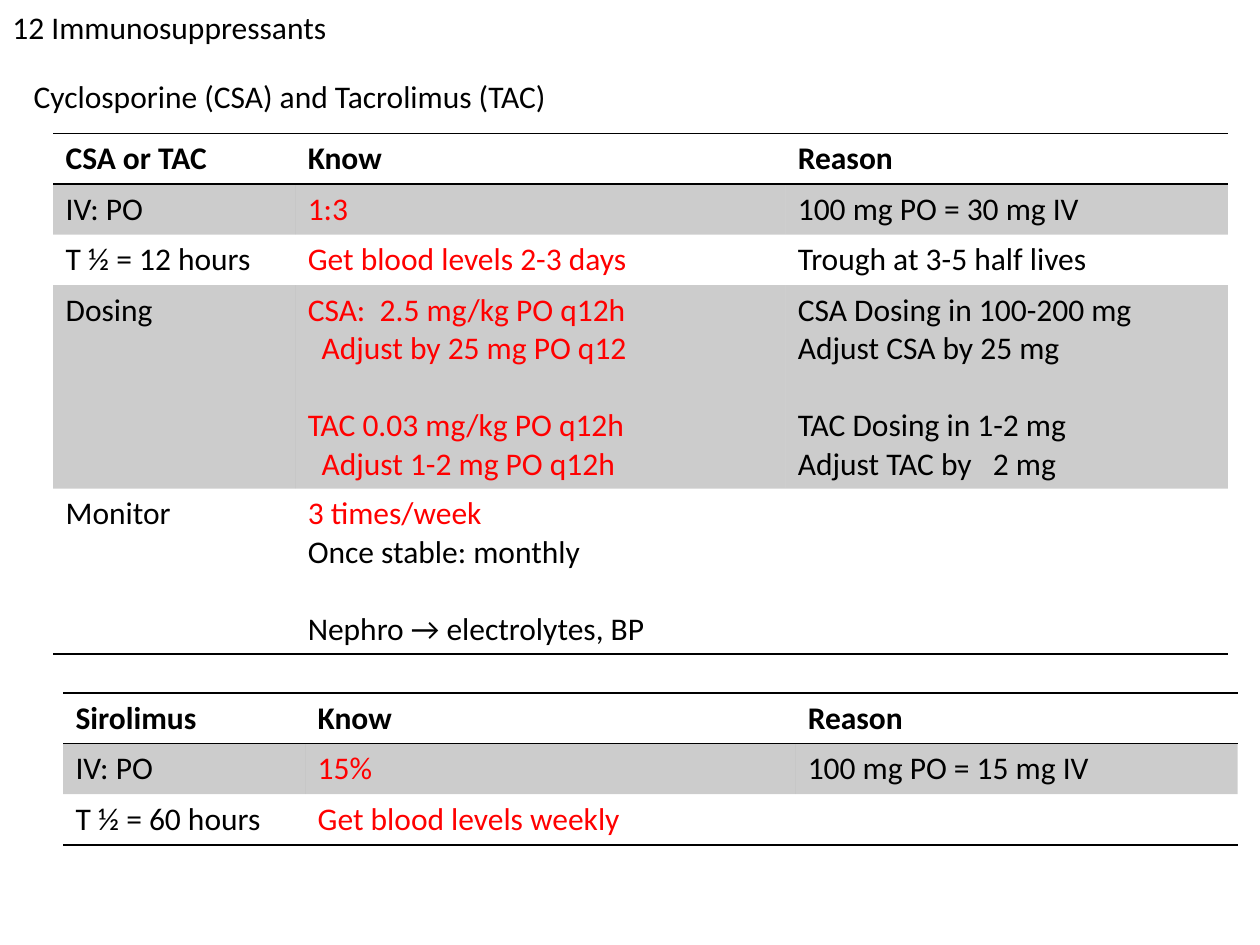
import dataclasses

import pptx
import pptx.dml.color
import pptx.enum.text
import pptx.oxml
import pptx.oxml.ns
import pptx.util
from pptx.util import Cm

FONT = "Calibri"
FONT_SIZE = pptx.util.Pt(18)
LINE_SPACE = pptx.util.Pt(22)
BLACK, RED = "000000", "FF0000"
PLAIN_TABLE_STYLE = "{2D5ABB26-0587-4C30-8999-92F81FD0307C}"
COLUMN_WIDTHS = (4.88, 9.88, 8.92)


@dataclasses.dataclass
class Line:
    """One paragraph of a cell; indent and tab are in centimetres."""
    text: str
    color: str = BLACK
    new_group: bool = False
    indent: float = 0
    tab: float = 0


def rgb(color):
    return pptx.dml.color.RGBColor.from_string(color)


def add_run(paragraph, text, color=BLACK, bold=False):
    run = paragraph.add_run()
    run.text = text
    run.font.name = FONT
    run.font.size = FONT_SIZE
    run.font.bold = bold
    run.font.color.rgb = rgb(color)


def add_label(slide, text, left, top, width, wrap):
    box = slide.shapes.add_textbox(Cm(left), Cm(top), Cm(width), Cm(1.02))
    box.text_frame.word_wrap = wrap
    box.text_frame.auto_size = pptx.enum.text.MSO_AUTO_SIZE.SHAPE_TO_FIT_TEXT
    add_run(box.text_frame.paragraphs[0], text)


def add_rule(cell, side):
    """Draw a thin black border on side T or B of the cell."""
    cell._tc.get_or_add_tcPr().append(pptx.oxml.parse_xml(
        f'<a:ln{side} {pptx.oxml.ns.nsdecls("a")} w="12700"><a:solidFill>'
        f'<a:srgbClr val="{BLACK}"/></a:solidFill></a:ln{side}>'))


def shade(cell):
    """Fill the cell with black at 20 % opacity."""
    cell.fill.solid()
    cell.fill.fore_color.rgb = rgb(BLACK)
    color = cell._tc.tcPr.find("a:solidFill/a:srgbClr", pptx.oxml.ns._nsmap)
    color.append(pptx.oxml.parse_xml(
        f'<a:alpha {pptx.oxml.ns.nsdecls("a")} val="20000"/>'))


def write_lines(cell, lines, bold):
    for number, line in enumerate(lines):
        frame = cell.text_frame
        paragraph = frame.add_paragraph() if number else frame.paragraphs[0]
        properties = paragraph._p.get_or_add_pPr()
        if line.indent:
            properties.set("marL", str(Cm(line.indent)))
        if line.tab:
            properties.append(pptx.oxml.parse_xml(
                f'<a:tabLst {pptx.oxml.ns.nsdecls("a")}>'
                f'<a:tab pos="{Cm(line.tab)}" algn="l"/></a:tabLst>'))
        if line.new_group:
            paragraph.space_before = LINE_SPACE
        add_run(paragraph, line.text, line.color, bold)


def add_drug_table(slide, left, top, rows):
    line_counts = [max(len(lines) + sum(line.new_group for line in lines)
                       for lines in row) for row in rows]
    heights = [0.25 + 0.77 * count for count in line_counts]
    frame = slide.shapes.add_table(
        len(rows), len(COLUMN_WIDTHS), Cm(left), Cm(top),
        Cm(sum(COLUMN_WIDTHS)), Cm(sum(heights)))
    table = frame.table
    table._tbl.tblPr.find(pptx.oxml.ns.qn("a:tableStyleId")).text = PLAIN_TABLE_STYLE
    for column, width in zip(table.columns, COLUMN_WIDTHS):
        column.width = Cm(width)
    for row_number, (row, height) in enumerate(zip(rows, heights)):
        table.rows[row_number].height = Cm(height)
        header = row_number == 0
        for column_number, lines in enumerate(row):
            cell = table.cell(row_number, column_number)
            if header:
                add_rule(cell, "T")
            if header or row_number == len(rows) - 1:
                add_rule(cell, "B")
            if row_number % 2:
                shade(cell)
            else:
                cell.fill.background()
            write_lines(cell, lines, header)


def header_row(drug):
    return [[Line(drug)], [Line("Know")], [Line("Reason")]]


CSA_TAC_ROWS = [
    header_row("CSA or TAC"),
    [[Line("IV: PO")], [Line("1:3", RED)], [Line("100 mg PO = 30 mg IV")]],
    [[Line("T ½ = 12 hours")], [Line("Get blood levels 2-3 days", RED)],
     [Line("Trough at 3-5 half lives")]],
    [[Line("Dosing")],
     [Line("CSA:\t2.5 mg/kg PO q12h", RED, tab=1.45),
      Line("Adjust by 25 mg PO q12", RED, indent=0.28),
      Line("TAC 0.03 mg/kg PO q12h", RED, new_group=True),
      Line("Adjust 1-2 mg PO q12h", RED, indent=0.28)],
     [Line("CSA Dosing in 100-200 mg"),
      Line("Adjust CSA by 25 mg"),
      Line("TAC Dosing in 1-2 mg", new_group=True),
      Line("Adjust TAC by\t2 mg", tab=3.93)]],
    [[Line("Monitor")],
     [Line("3 times/week", RED),
      Line("Once stable: monthly"),
      Line("Nephro → electrolytes, BP", new_group=True)],
     []],
]
SIROLIMUS_ROWS = [
    header_row("Sirolimus"),
    [[Line("IV: PO")], [Line("15%", RED)], [Line("100 mg PO = 15 mg IV")]],
    [[Line("T ½ = 60 hours")], [Line("Get blood levels weekly", RED)], []],
]


def main():
    presentation = pptx.Presentation()
    presentation.slide_width = Cm(25.4)
    presentation.slide_height = Cm(19.05)
    slide = presentation.slides.add_slide(presentation.slide_layouts[6])
    add_label(slide, "12 Immunosuppressants", 0, 0.03, 6.93, wrap=False)
    add_label(slide, "Cyclosporine (CSA) and Tacrolimus (TAC)", 0.43, 1.42, 24.3, wrap=True)
    add_drug_table(slide, 1.07, 2.69, CSA_TAC_ROWS)
    add_drug_table(slide, 1.27, 13.97, SIROLIMUS_ROWS)
    presentation.save("out.pptx")


if __name__ == "__main__":
    main()
